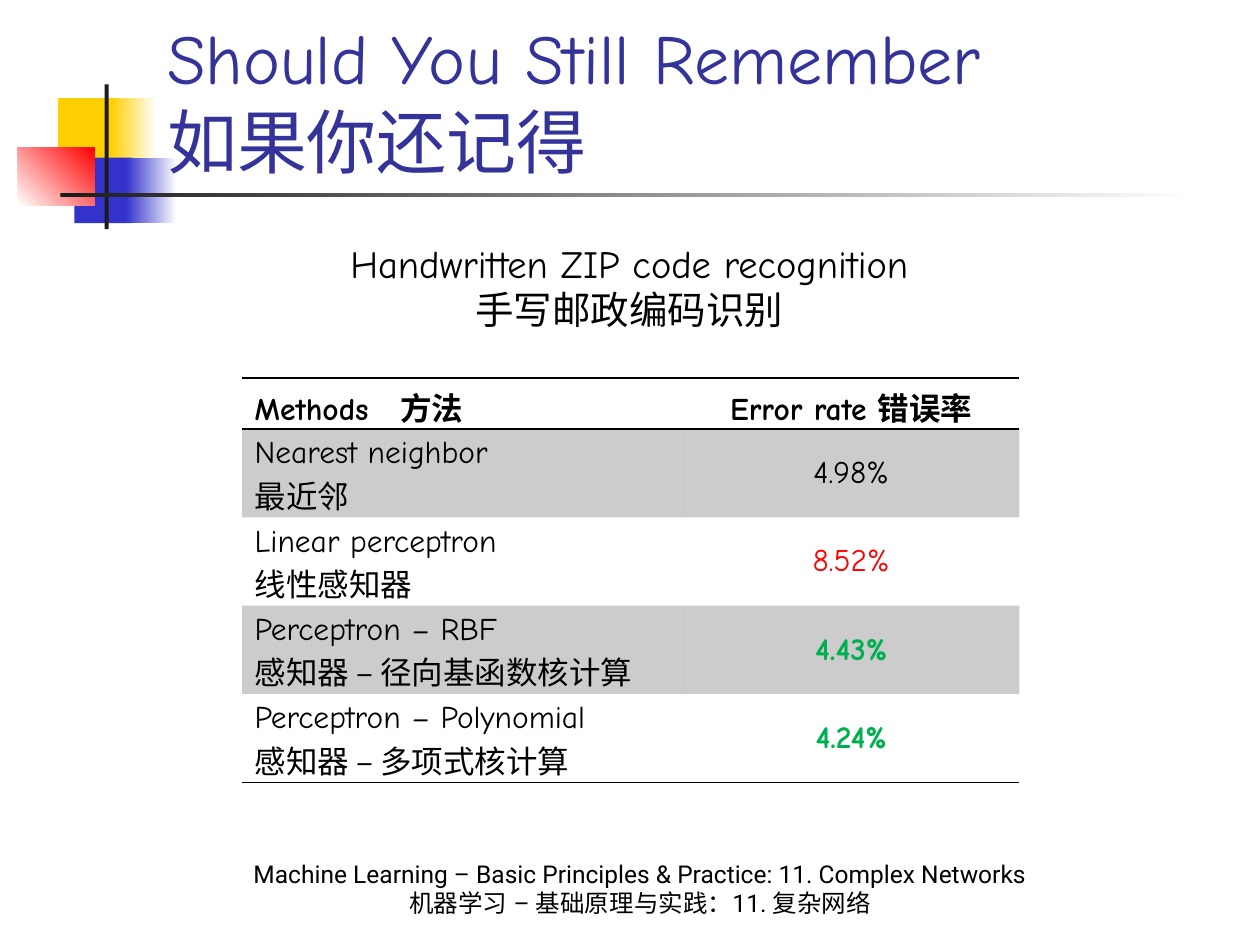
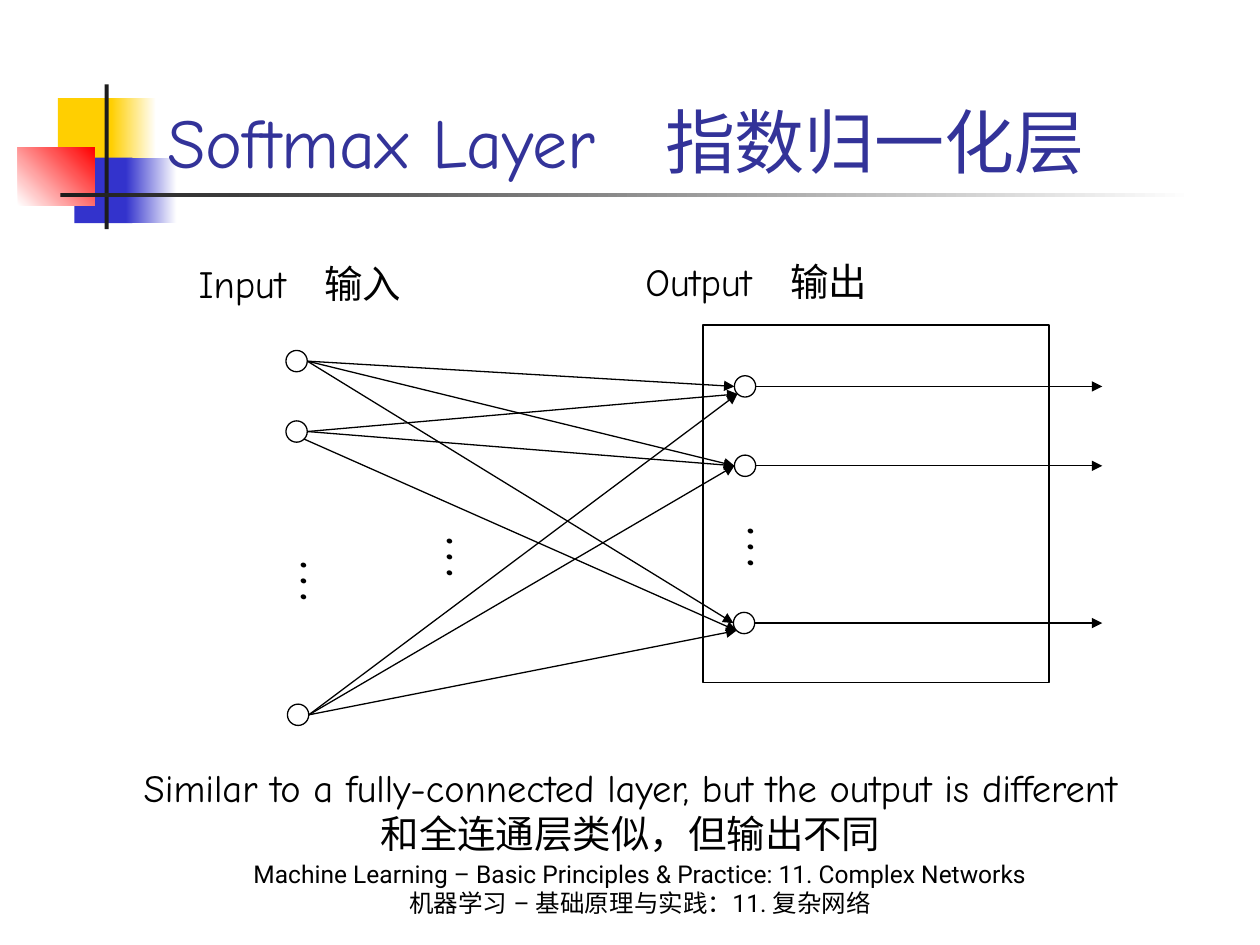
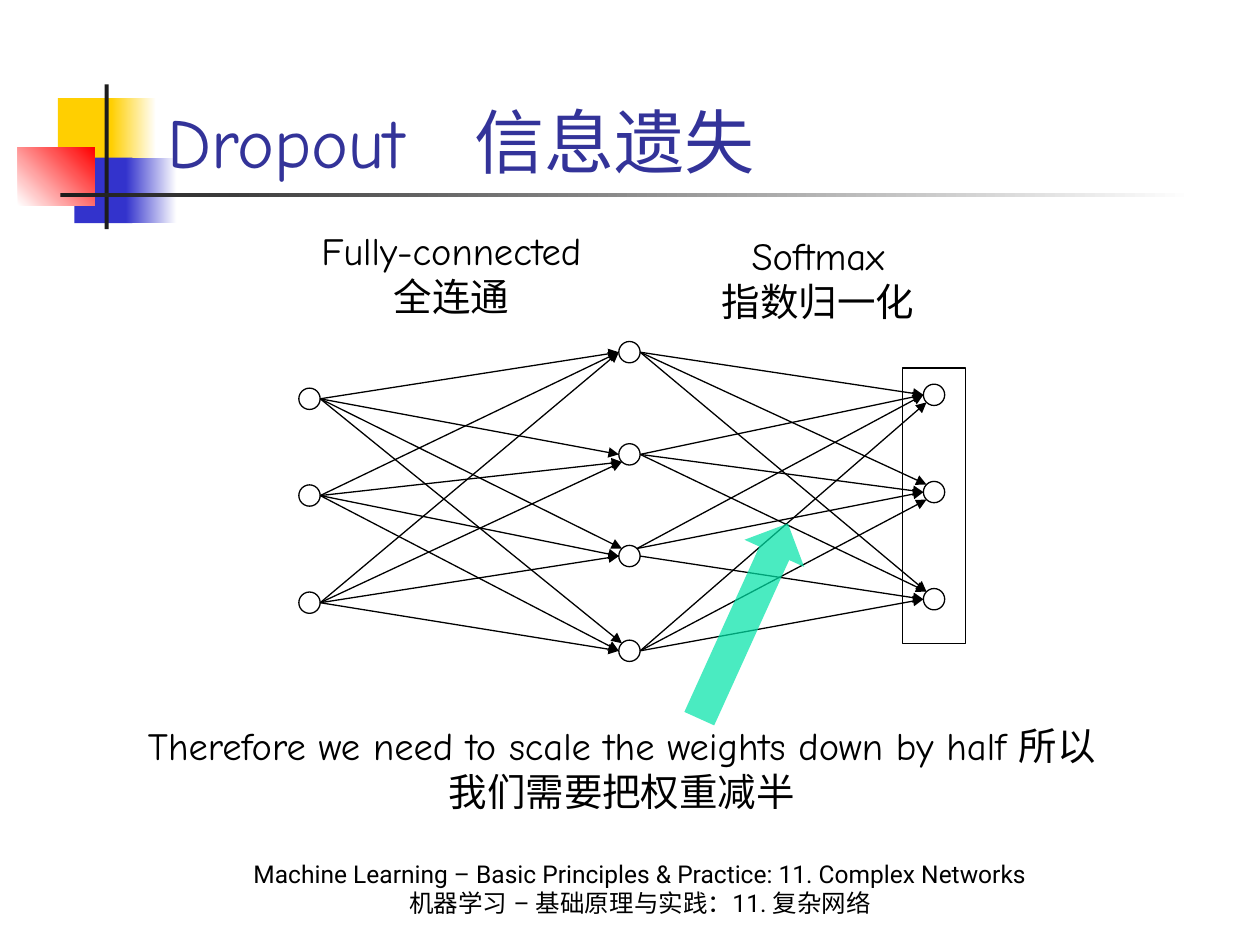
import enum
import math
from dataclasses import dataclass
from typing import Optional

import pptx
import pptx.dml.color
import pptx.enum.shapes
import pptx.enum.text
import pptx.oxml.ns
import pptx.util
from lxml import etree
from pptx.util import Cm

HAND_FONT = "Comic Neue"
FOOTER_FONT = "Roboto"
BLACK, WHITE, TITLE_BLUE = "000000", "FFFFFF", "333399"
RED, GREEN, MINT = "FF0000", "00B050", "00E4A8"
YELLOW, BLUE, CHARCOAL = "FFCF01", "3333CC", "1C1C1C"
NO_GRID_STYLE = "{2D5ABB26-0587-4C30-8999-92F81FD0307C}"
NODE_RADIUS = 0.215
FOOTER = (
    "Machine Learning – Basic Principles & Practice: 11. Complex Networks",
    "机器学习 – 基础原理与实践：11. 复杂网络",
)

Shape = pptx.enum.shapes.MSO_SHAPE
Align = pptx.enum.text.PP_ALIGN
Anchor = pptx.enum.text.MSO_ANCHOR


class Site(enum.Enum):
    RIGHT = 0
    LOWER_RIGHT = 45
    LOWER_LEFT = 135
    LEFT = 180
    UPPER_LEFT = 225
    UPPER_RIGHT = 315


R, L, UL, LL = Site.RIGHT, Site.LEFT, Site.UPPER_LEFT, Site.LOWER_LEFT


@dataclass(frozen=True)
class Box:
    left: float
    top: float
    width: float
    height: float

    def lengths(self):
        return Cm(self.left), Cm(self.top), Cm(self.width), Cm(self.height)


@dataclass(frozen=True)
class Ornament:
    box: Box
    color: str
    fade_to: Optional[str] = None
    angle: float = 0


@dataclass(frozen=True)
class Node:
    x: float
    y: float

    def at(self, site: Site) -> tuple[float, float]:
        turn = math.radians(site.value)
        return self.x + NODE_RADIUS * math.cos(turn), self.y + NODE_RADIUS * math.sin(turn)


@dataclass(frozen=True)
class Result:
    method: str
    translation: str
    error_rate: str
    color: str = BLACK
    bold: bool = False


ORNAMENTS = (
    Ornament(Box(1.17, 1.98, 1.22, 1.32), YELLOW),
    Ornament(Box(2.24, 1.98, 0.91, 1.32), YELLOW, WHITE),
    Ornament(Box(1.5, 3.18, 1.17, 1.32), BLUE),
    Ornament(Box(2.54, 3.18, 1.02, 1.32), BLUE, WHITE),
    Ornament(Box(0.36, 2.97, 1.55, 1.17), WHITE, RED, 45),
    Ornament(Box(2.11, 1.7, 0.08, 2.92), CHARCOAL),
    Ornament(Box(1.22, 3.89, 22.86, 0.08), CHARCOAL, WHITE),
)

RESULTS = (
    Result("Nearest neighbor", "最近邻", "4.98%"),
    Result("Linear perceptron", "线性感知器", "8.52%", RED),
    Result("Perceptron – RBF", "感知器 – 径向基函数核计算", "4.43%", GREEN, True),
    Result("Perceptron – Polynomial", "感知器 – 多项式核计算", "4.24%", GREEN, True),
)


def rgb(color: str):
    return pptx.dml.color.RGBColor.from_string(color)


def add_child(parent, tag: str, **attributes: str):
    return etree.SubElement(parent, pptx.oxml.ns.qn(tag), **attributes)


def paint(fill, properties, color: str, opacity: int = 100) -> None:
    fill.solid()
    fill.fore_color.rgb = rgb(color)
    if opacity < 100:
        solid = properties.find(pptx.oxml.ns.qn("a:solidFill"))
        add_child(solid[0], "a:alpha", val=str(opacity * 1000))


def write(frame, lines, *, size: float = 22, font: str = HAND_FONT, color: str = BLACK,
          bold: bool = False, align=Align.CENTER, east_asian: bool = True) -> None:
    for index, line in enumerate(lines):
        paragraph = frame.add_paragraph() if index else frame.paragraphs[0]
        paragraph.text = line
        paragraph.alignment = align
        for run in paragraph.runs:
            run.font.size = pptx.util.Pt(size)
            run.font.name = font
            run.font.bold = bold
            run.font.color.rgb = rgb(color)
            if east_asian:
                add_child(run.font._element, "a:ea", typeface=font)


def add_text(slide, box: Box, *lines: str, anchor=Anchor.TOP, grow: bool = True,
             vertical: bool = False, **style) -> None:
    frame = slide.shapes.add_textbox(*box.lengths()).text_frame
    frame.word_wrap = True
    frame.vertical_anchor = anchor
    if grow:
        frame.auto_size = pptx.enum.text.MSO_AUTO_SIZE.SHAPE_TO_FIT_TEXT
    if vertical:
        frame._txBody.bodyPr.set("vert", "eaVert")
    write(frame, lines, **style)


def add_figure(slide, kind, box: Box, fill: Optional[str] = None, outlined: bool = False,
               opacity: int = 100):
    figure = slide.shapes.add_shape(kind, *box.lengths())
    figure.shadow.inherit = False
    if fill:
        paint(figure.fill, figure.element.spPr, fill, opacity)
    else:
        figure.fill.background()
    if outlined:
        figure.line.color.rgb = rgb(BLACK)
        figure.line.width = pptx.util.Pt(0.75)
    else:
        figure.line.fill.background()
    return figure


def add_ornament(slide, ornament: Ornament) -> None:
    figure = add_figure(slide, Shape.RECTANGLE, ornament.box, ornament.color)
    if ornament.fade_to:
        figure.fill.gradient()
        figure.fill.gradient_angle = ornament.angle
        for stop, color in zip(figure.fill.gradient_stops, (ornament.color, ornament.fade_to)):
            stop.color.rgb = rgb(color)


def add_arrow(slide, start: tuple[float, float], end: tuple[float, float]) -> None:
    arrow = slide.shapes.add_connector(
        pptx.enum.shapes.MSO_CONNECTOR.STRAIGHT, *(Cm(value) for value in (*start, *end)))
    arrow.line.color.rgb = rgb(BLACK)
    arrow.line.width = pptx.util.Pt(0.75)
    properties = arrow.element.spPr
    add_child(properties.find(pptx.oxml.ns.qn("a:ln")), "a:tailEnd", type="triangle")
    add_child(properties, "a:effectLst")


def add_nodes(slide, nodes) -> None:
    for node in nodes:
        add_figure(slide, Shape.OVAL, Box(node.x - NODE_RADIUS, node.y - NODE_RADIUS,
                                          2 * NODE_RADIUS, 2 * NODE_RADIUS), WHITE, True)


def link_layers(slide, sources, targets, end_sites, start_sites) -> None:
    for i, source in enumerate(sources):
        for j, target in enumerate(targets):
            add_arrow(slide, source.at(start_sites.get((i, j), R)), target.at(end_sites[i][j]))


def add_cell_border(cell, side: str, position: int) -> None:
    properties = cell._tc.get_or_add_tcPr()
    border = add_child(properties, f"a:ln{side}", w="12700")
    add_child(add_child(border, "a:solidFill"), "a:srgbClr", val=BLACK)
    properties.insert(position, border)


def start_slide(deck, title: str):
    slide = deck.slides.add_slide(deck.slide_layouts[6])
    for ornament in ORNAMENTS:
        add_ornament(slide, ornament)
    add_text(slide, Box(3.12, 1.27, 21.64, 2.54), title, size=40, color=TITLE_BLUE,
             align=Align.LEFT, anchor=Anchor.BOTTOM, grow=False)
    add_text(slide, Box(2.11, 17.35, 21.59, 1.27), *FOOTER, size=14, font=FOOTER_FONT,
             anchor=Anchor.BOTTOM, grow=False)
    return slide


def add_results(slide) -> None:
    holder = slide.shapes.add_table(len(RESULTS) + 1, 2,
                                    *Box(4.88, 7.62, 15.67, 8.15).lengths())
    holder.element.xpath(".//a:tableStyleId")[0].text = NO_GRID_STYLE
    table = holder.table
    table.first_row = table.horz_banding = False
    for column, width in zip(table.columns, (8.89, 6.78)):
        column.width = Cm(width)
    for index, row in enumerate(table.rows):
        row.height = Cm(1.78 if index else 1.03)
        if index:
            result = RESULTS[index - 1]
            contents = ((result.method, result.translation), (result.error_rate,))
            styles = ({}, {"color": result.color, "bold": result.bold})
        else:
            contents = (("Methods　方法",), ("Error rate 错误率",))
            styles = ({"bold": True},) * 2
        sides = "TB" if index == 0 else "B" if index == len(RESULTS) else ""
        for cell, lines, style, align in zip(row.cells, contents, styles,
                                             (Align.LEFT, Align.CENTER)):
            cell.vertical_anchor = Anchor.MIDDLE
            write(cell.text_frame, lines, size=18, align=align, east_asian=False, **style)
            if index % 2:
                paint(cell.fill, cell._tc.get_or_add_tcPr(), BLACK, 20)
            else:
                cell.fill.background()
            for position, side in enumerate(sides):
                add_cell_border(cell, side, position)


def build_recall(deck) -> None:
    slide = start_slide(deck, "Should You Still Remember\v如果你还记得")
    add_results(slide)
    add_text(slide, Box(1.65, 4.72, 22.07, 2.13),
             "Handwritten ZIP code recognition", "手写邮政编码识别")


def build_softmax(deck) -> None:
    slide = start_slide(deck, "Softmax Layer　指数归一化层")
    inputs = (Node(5.98, 7.28), Node(5.98, 8.7), Node(6.01, 14.41))
    outputs = (Node(15.02, 7.79), Node(15.02, 9.39), Node(15, 12.56))
    add_text(slide, Box(0.43, 15.27, 24.56, 2.13),
             "Similar to a fully-connected layer, but the output is different",
             "和全连通层类似，但输出不同")
    add_text(slide, Box(2.97, 5.11, 6.15, 1.19), "Input　输入")
    add_text(slide, Box(12.17, 5.08, 6.15, 1.19), "Output　输出")
    add_nodes(slide, inputs + outputs)
    for left, top in ((5.41, 11.05), (14.43, 10.36), (8.36, 10.57)):
        add_text(slide, Box(left, top, 2.06, 1.19), "…", size=36, align=Align.LEFT,
                 vertical=True)
    link_layers(slide, inputs, outputs, ((L, L, L), (LL, L, LL), (LL, L, LL)),
                {(1, 2): Site.LOWER_RIGHT})
    for output in outputs:
        add_arrow(slide, output.at(R), (22.22, output.y))
    add_figure(slide, Shape.RECTANGLE, Box(14.17, 6.55, 6.98, 7.21), outlined=True)


def build_dropout(deck) -> None:
    slide = start_slide(deck, "Dropout　信息遗失")
    inputs = [Node(6.24, y) for y in (8.04, 9.99, 12.15)]
    hidden = [Node(12.69, y) for y in (7.1, 9.16, 11.21, 13.12)]
    outputs = [Node(18.83, y) for y in (7.96, 9.92, 12.08)]
    add_text(slide, Box(2.54, 14.43, 19.99, 2.13),
             "Therefore we need to scale the weights down by half 所以我们需要把权重减半")
    add_text(slide, Box(5.72, 4.45, 6.76, 2.13), "Fully-connected", "全连通")
    add_text(slide, Box(13.11, 4.55, 6.76, 2.13), "Softmax", "指数归一化")
    add_figure(slide, Shape.RECTANGLE, Box(18.19, 7.42, 1.27, 5.56), outlined=True)
    add_nodes(slide, inputs + hidden + outputs)
    link_layers(slide, inputs, hidden,
                ((L, L, UL, UL), (L, LL, L, L), (L, LL, L, L)), {})
    link_layers(slide, hidden, outputs,
                ((L, UL, UL), (L, L, UL), (L, L, L), (LL, LL, L)),
                {(2, 0): Site.UPPER_RIGHT, (2, 1): Site.UPPER_RIGHT})
    pointer = add_figure(slide, Shape.RIGHT_ARROW, Box(12.83, 11.86, 4.32, 1.32), MINT,
                         opacity=71)
    pointer.rotation = 294.4


def main() -> None:
    deck = pptx.Presentation()
    deck.slide_width, deck.slide_height = Cm(25.4), Cm(19.05)
    build_recall(deck)
    build_softmax(deck)
    build_dropout(deck)
    deck.save("out.pptx")


if __name__ == "__main__":
    main()
